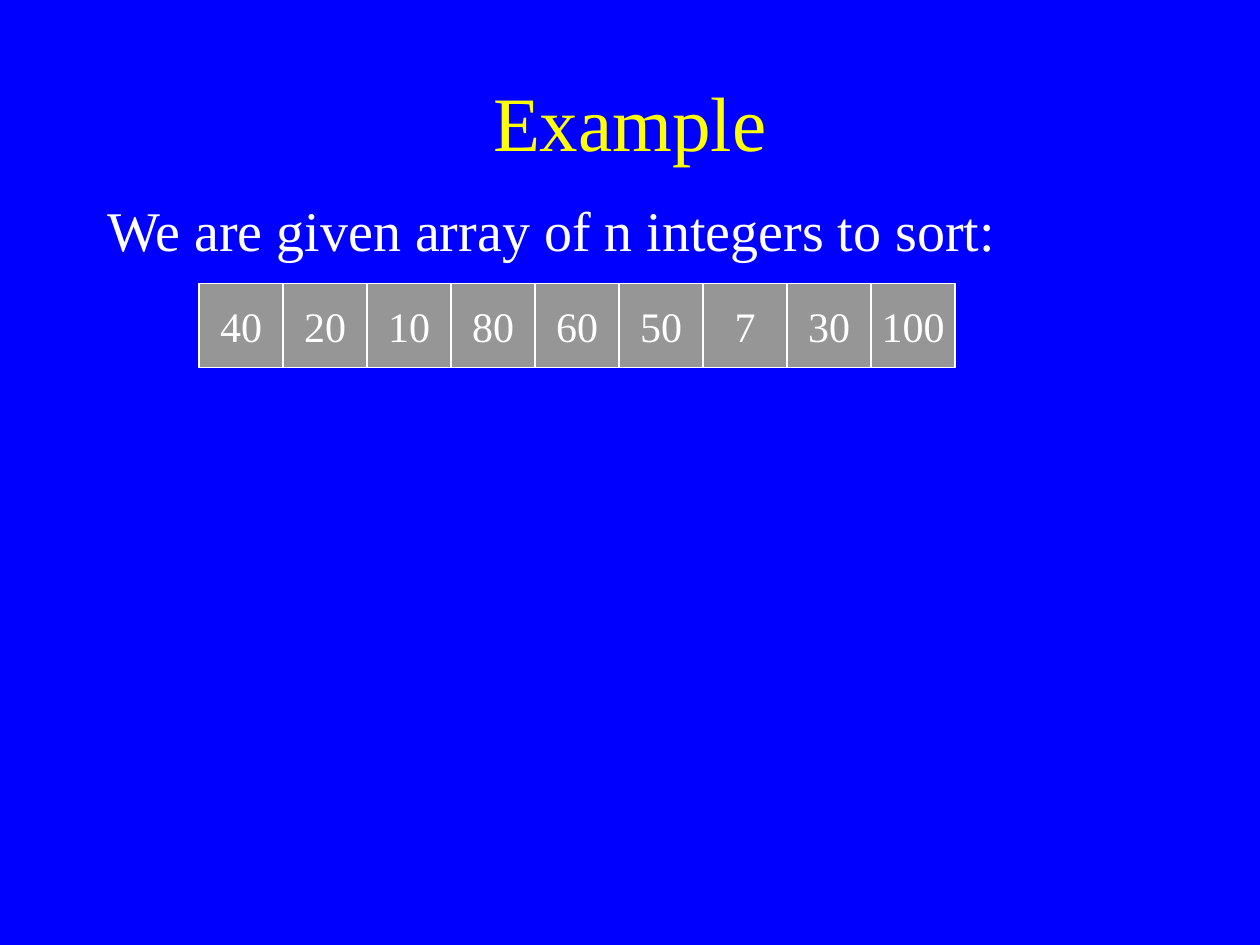
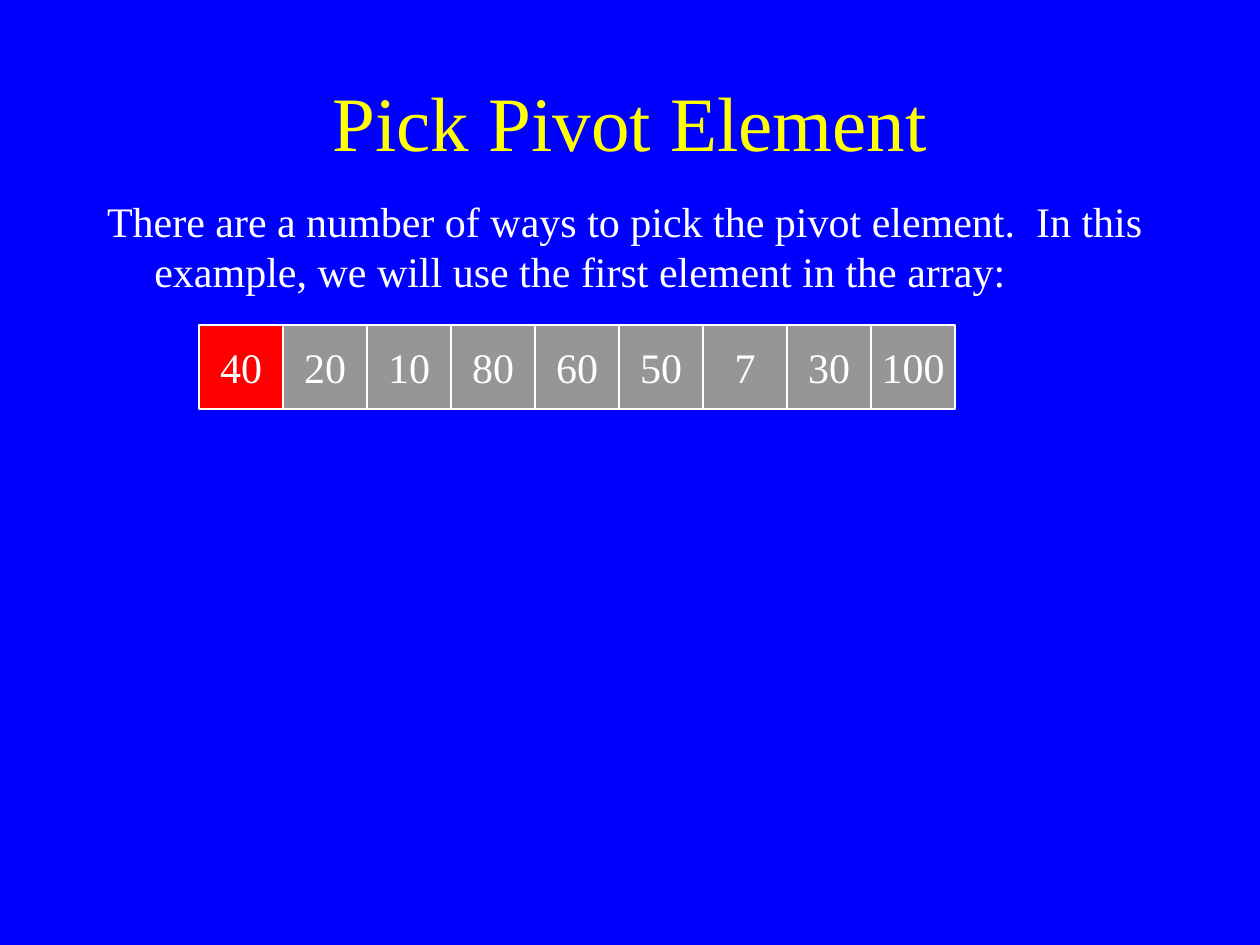
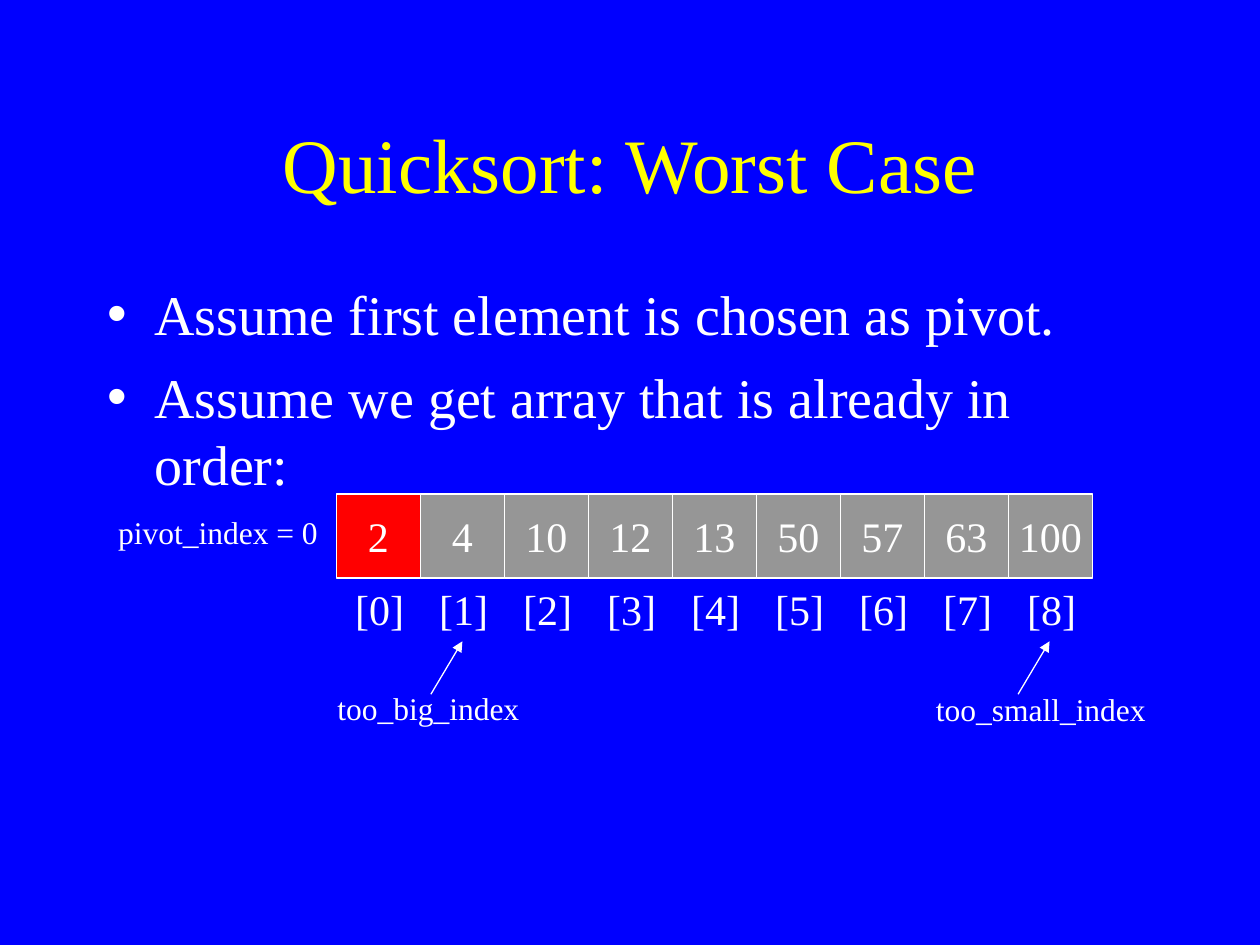
import pptx
import pptx.dml.color
import pptx.enum.shapes
import pptx.enum.text
import pptx.oxml.ns
import pptx.util
from lxml import etree

Inches = pptx.util.Inches
Pt = pptx.util.Pt
qn = pptx.oxml.ns.qn
FONT = "Times New Roman"
BLUE, YELLOW, WHITE, GREY, RED = "0000FF", "FFFF00", "FFFFFF", "969696", "FF0000"
SIDE = 2 / 3


def color(code):
    return pptx.dml.color.RGBColor.from_string(code)


def style(frame, size, code, before=0.4):
    for para in frame.paragraphs:
        para.space_before, para.space_after = Pt(before), Pt(0.4)
        for run in para.runs:
            run.font.name, run.font.size = FONT, Pt(size)
            run.font.color.rgb = color(code)


deck = pptx.Presentation()
deck.slide_width, deck.slide_height = Inches(10), Inches(7.5)
back = deck.slide_master.background.fill
back.solid()
back.fore_color.rgb = color(BLUE)

first = [40, 20, 10, 80, 60, 50, 7, 30, 100]
sorted_row = [2, 4, 10, 12, 13, 50, 57, 63, 100]
pages = [
    ("Example", 0.33, ["We are given array of n integers to sort:"],
     1.5, 32, 8.4, False, first, 1.58, 2.25, None),
    ("Pick Pivot Element", 0.33,
     ["There are a number of ways to pick the pivot element.  In this example, "
      "we will use the first element in the array:"],
     1.5, 24, 6.4, False, first, 1.58, 2.58, 0),
    ("Quicksort: Worst Case", 0.67,
     ["Assume first element is chosen as pivot.",
      "Assume we get array that is already in order:"],
     2.17, 32, 8.4, True, sorted_row, 2.67, 3.92, 0),
]

for head, head_top, lines, top, size, before, dots, row, left, row_top, pivot in pages:
    slide = deck.slides.add_slide(deck.slide_layouts[1])
    title, body = slide.placeholders
    title.left, title.top = Inches(0.75), Inches(head_top)
    title.width, title.height = Inches(8.5), Inches(1.25)
    title.text_frame.text = head
    style(title.text_frame, 44, YELLOW)

    body.left, body.top = Inches(0.75), Inches(top)
    body.width, body.height = Inches(8.5), Inches(4.5)
    body.text_frame.text = "\n".join(lines)
    style(body.text_frame, size, WHITE, before)
    for holder in (title, body):
        holder.text_frame.auto_size = pptx.enum.text.MSO_AUTO_SIZE.NONE
    if not dots:
        for para in body.text_frame.paragraphs:
            etree.SubElement(para._p.get_or_add_pPr(), qn("a:buNone"))

    for i, value in enumerate(row):
        cell = slide.shapes.add_shape(
            pptx.enum.shapes.MSO_SHAPE.RECTANGLE, Inches(left + i * SIDE),
            Inches(row_top), Inches(SIDE), Inches(SIDE))
        cell.shadow.inherit = False
        cell.fill.solid()
        cell.fill.fore_color.rgb = color(RED if i == pivot else GREY)
        cell.line.color.rgb = color(WHITE)
        cell.line.width = Pt(0.75)
        cell.text_frame.text = str(value)
        cell.text_frame.word_wrap = False
        cell.text_frame.paragraphs[0].alignment = pptx.enum.text.PP_ALIGN.CENTER
        style(cell.text_frame, 24, WHITE)

marks = "\t".join(f"[{i}]" for i in range(len(sorted_row)))
labels = [
    ("pivot_index = 0", 0.84, 4.02, 1.83, 0.4, 18),
    (marks, 2.72, 4.58, 6.2, 0.5, 24),
    ("too_big_index", 2.58, 5.42, 3.17, 0.4, 18),
    ("too_small_index", 7.33, 5.43, 2.33, 0.4, 18),
]
for text, left, top, width, height, size in labels:
    box = slide.shapes.add_textbox(Inches(left), Inches(top), Inches(width), Inches(height))
    box.text_frame.word_wrap = True
    box.text_frame.text = text
    style(box.text_frame, size, WHITE)
    if text == marks:
        props = box.text_frame.paragraphs[0]._p.get_or_add_pPr()
        tabs = etree.SubElement(props, qn("a:tabLst"))
        for i in range(1, len(sorted_row)):
            etree.SubElement(tabs, qn("a:tab"), pos=str(Inches(i * SIDE)), algn="l")

for left in (8.08, 3.42):
    arrow = slide.shapes.add_connector(
        pptx.enum.shapes.MSO_CONNECTOR.STRAIGHT,
        Inches(left), Inches(5.51), Inches(left + 0.25), Inches(5.09))
    arrow.line.color.rgb = color(WHITE)
    arrow.line.width = Pt(0.75)
    etree.SubElement(arrow.line._get_or_add_ln(), qn("a:tailEnd"), type="triangle")
    etree.SubElement(arrow._element.spPr, qn("a:effectLst"))

deck.save("out.pptx")
